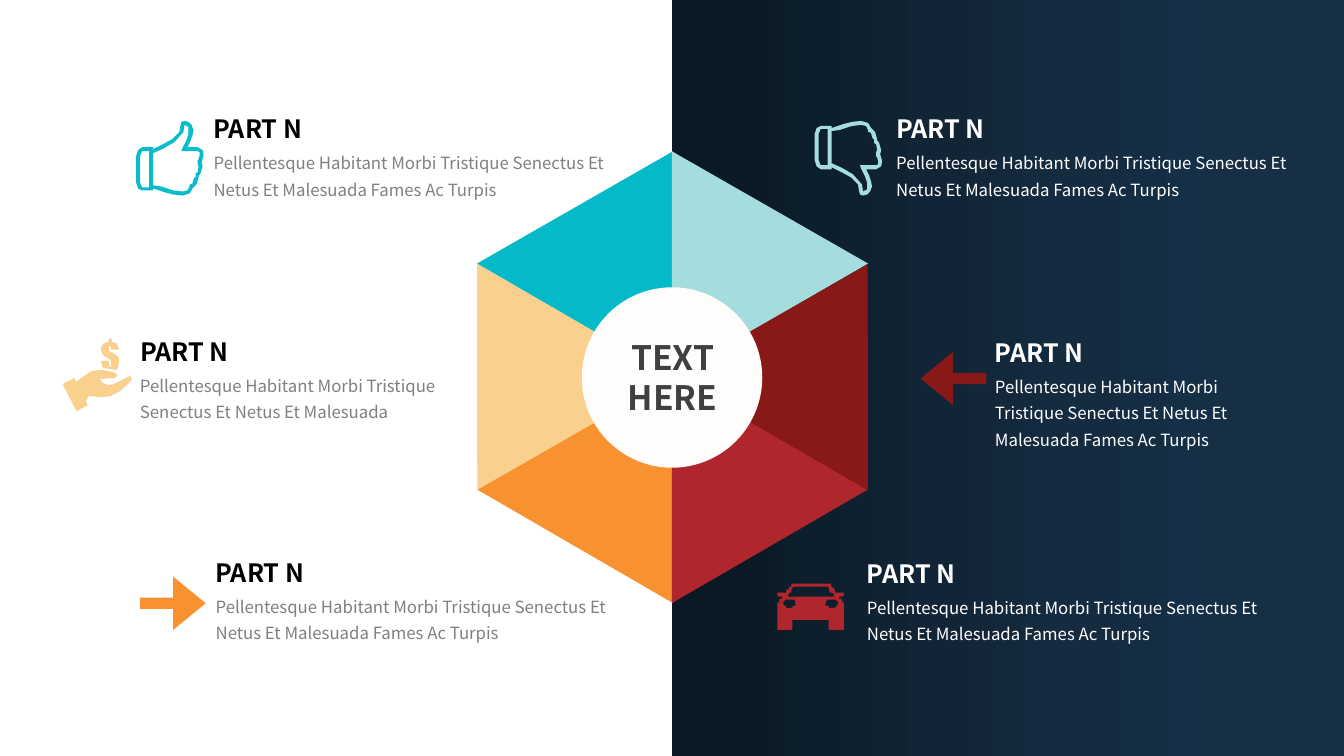
from lxml import etree
from pptx import Presentation
from pptx.dml.color import RGBColor
from pptx.enum.shapes import MSO_SHAPE as Shape
from pptx.enum.text import PP_ALIGN as Align
from pptx.oxml.ns import qn
from pptx.util import Inches, Pt

FONT = "Noto Sans CJK SC"
TEAL, AQUA, SAND = "04BAC8", "A5DDDE", "F9D08E"
ORANGE, RED, MAROON = "F89130", "AF272D", "891917"
SHORT_BODY = "Pellentesque Habitant Morbi Tristique Senectus Et Netus Et Malesuada"
BODY = SHORT_BODY + " Fames Ac Turpis"

CENTER_X, CENTER_Y = 6.67, 3.74
WEDGE_W, WEDGE_H = 2.25, 1.94
# Horizontal and vertical offset from the hexagon's centre, rotation, colour
WEDGES = [
    (-0.48, 0.84, 30.1, ORANGE),
    (-0.48, -1.4, 30.1, TEAL),
    (0.48, 0.84, 329.9, RED),
    (0.48, -1.4, 329.9, AQUA),
    (-1.45, 0.28, 210.1, SAND),
    (1.45, -0.28, 30.1, MAROON),
]
# Left, top, body width, body height, body text, title colour, body colour
PARTS = [
    (2.02, 1.08, 4.12, 0.63, BODY, "000000", "808080"),
    (1.29, 3.29, 3.23, 0.63, SHORT_BODY, "000000", "808080"),
    (2.04, 5.48, 4.12, 0.63, BODY, "000000", "808080"),
    (8.79, 1.08, 4.12, 0.6, BODY, "FFFFFF", "FFFFFF"),
    (9.77, 3.3, 2.84, 0.89, BODY, "FFFFFF", "FFFFFF"),
    (8.5, 5.49, 4.12, 0.6, BODY, "FFFFFF", "FFFFFF"),
]
PANEL_STOPS = [(0, "162F45"), (20, "152F46"), (40, "152B40"),
               (60, "122536"), (80, "0D1F2D"), (88, "0B1924")]

# Icon outlines, in hundredths of an inch from the icon's top left corner
THUMB_HEIGHT = 74
THUMB = [
    [(46, 74), (37, 73), (29, 71), (23, 69), (17, 67), (17, 69), (6, 69),
     (2, 67), (0, 61), (0, 35), (2, 29), (6, 26), (17, 26), (17, 28),
     (27, 23), (36, 18), (43, 11), (44, 5), (45, 1), (48, 0), (52, 1),
     (55, 4), (57, 9), (56, 14), (54, 20), (51, 26), (61, 26), (66, 29),
     (67, 34), (65, 41), (66, 45), (64, 52), (62, 55), (62, 56), (60, 63),
     (56, 67), (53, 72)],
    [(17, 64), (25, 65), (31, 67), (37, 69), (46, 70), (51, 69), (53, 65),
     (53, 63), (54, 63), (56, 62), (57, 58), (58, 56), (59, 56), (59, 52),
     (61, 51), (62, 45), (61, 43), (61, 39), (62, 38), (63, 34), (63, 31),
     (61, 30), (45, 30), (46, 27), (50, 19), (52, 13), (52, 6), (48, 4),
     (47, 11), (38, 21), (28, 27), (17, 32)],
    [(6, 30), (4, 35), (4, 61), (6, 66), (13, 66), (13, 30)],
]
THUMB_DOWN = [[(x, THUMB_HEIGHT - y) for x, y in ring] for ring in THUMB]
HAND_WITH_DOLLAR = [
    [(56, 11), (48, 11), (48, 8), (47, 7), (46, 8), (46, 12), (50, 14),
     (54, 17), (56, 19), (56, 23), (55, 29), (53, 31), (40, 29), (38, 23),
     (38, 22), (46, 22), (46, 27), (47, 28), (48, 27), (48, 22), (46, 20),
     (41, 17), (39, 14), (38, 10), (40, 5), (46, 3), (46, 0), (49, 0),
     (49, 3), (54, 5), (56, 10)],
    [(0, 45), (14, 72), (25, 66), (23, 62), (26, 57), (38, 58), (48, 57),
     (57, 52), (66, 44), (69, 40), (67, 37), (59, 41), (51, 45), (46, 46),
     (40, 44), (37, 40), (52, 39), (54, 37), (53, 34), (40, 31), (29, 32),
     (20, 38), (13, 43), (12, 39)],
]
CAR = [
    [(64, 13), (66, 12), (66, 9), (57, 9), (57, 6), (56, 6), (56, 4),
     (54, 4), (53, 0), (14, 0), (14, 3), (12, 3), (11, 6), (9, 6), (9, 9),
     (0, 9), (0, 12), (2, 13), (5, 13), (5, 15), (3, 15), (2, 16), (2, 19),
     (0, 19), (0, 46), (15, 46), (15, 36), (51, 36), (51, 46), (66, 46),
     (66, 19), (65, 19), (64, 16), (63, 15), (61, 15), (61, 13)],
    [(11, 10), (12, 9), (14, 9), (14, 6), (15, 4), (17, 3), (50, 3),
     (51, 4), (52, 9), (54, 9), (56, 10), (56, 13), (11, 13)],
    [(18, 22), (15, 22), (15, 24), (9, 24), (8, 22), (6, 21), (6, 18),
     (8, 16), (17, 16), (18, 18)],
    [(60, 21), (59, 22), (57, 24), (51, 24), (51, 22), (48, 22), (48, 18),
     (50, 16), (58, 16), (60, 18)],
]


def rgb(color):
    return RGBColor.from_string(color)


def paint(sp, color):
    """Give a shape a flat fill with no line and no shadow."""
    sp.shadow.inherit = False
    sp.fill.solid()
    sp.fill.fore_color.rgb = rgb(color)
    sp.line.fill.background()


def add_preset(s, kind, left, top, width, height, color):
    sp = s.shapes.add_shape(kind, Inches(left), Inches(top),
                            Inches(width), Inches(height))
    paint(sp, color)
    return sp


def add_panel(s):
    """Add the dark right half with its gradient of several stops."""
    sp = add_preset(s, Shape.RECTANGLE, 6.67, 0, 6.67, 7.5, "162F45")
    sp.fill.gradient()
    sp.fill.gradient_angle = 180
    stops = sp._element.spPr.find(".//" + qn("a:gsLst"))
    for stop in list(stops):
        stops.remove(stop)
    for percent, color in PANEL_STOPS:
        stop = etree.SubElement(stops, qn("a:gs"), pos=str(percent * 1000))
        etree.SubElement(stop, qn("a:srgbClr"), val=color)


def add_wedge(s, dx, dy, rotation, color):
    sp = add_preset(s, Shape.ISOSCELES_TRIANGLE,
                    CENTER_X + dx - WEDGE_W / 2, CENTER_Y + dy - WEDGE_H / 2,
                    WEDGE_W, WEDGE_H, color)
    sp.rotation = rotation


def add_icon(s, rings, left, top, color):
    (x, y), *rest = rings[0]
    builder = s.shapes.build_freeform(x, y, scale=Inches(0.01))
    builder.add_line_segments(rest, close=True)
    for start, *rest in rings[1:]:
        builder.move_to(*start)
        builder.add_line_segments(rest, close=True)
    paint(builder.convert_to_shape(Inches(left), Inches(top)), color)


def add_arrow(s, kind, left, top, color):
    sp = add_preset(s, kind, left, top, 0.65, 0.53, color)
    sp.adjustments[0] = 0.21
    sp.adjustments[1] = 0.61


def add_text(s, left, top, width, height, lines, size, color,
             bold=False, align=Align.LEFT, spacing=None):
    box = s.shapes.add_textbox(Inches(left), Inches(top),
                               Inches(width), Inches(height))
    tf = box.text_frame
    tf.word_wrap = True
    for i, line in enumerate(lines):
        p = tf.add_paragraph() if i else tf.paragraphs[0]
        p.alignment = align
        p.line_spacing = spacing
        r = p.add_run()
        r.text = line
        r.font.name = FONT
        r.font.size = Pt(size)
        r.font.bold = bold
        r.font.color.rgb = rgb(color)


def add_part(s, left, top, width, height, body, title_color, body_color):
    add_text(s, left, top, 1.61, 0.4, ["PART N"], 18, title_color, bold=True)
    add_text(s, left, top + 0.33, width, height, [body], 12, body_color,
             spacing=1.3)


def main():
    prs = Presentation()
    prs.slide_width, prs.slide_height = Inches(13.33), Inches(7.5)
    s = prs.slides.add_slide(prs.slide_layouts[6])

    add_panel(s)
    for wedge in WEDGES:
        add_wedge(s, *wedge)
    add_preset(s, Shape.OVAL, 5.77, 2.85, 1.79, 1.79, "FFFDFB")
    add_text(s, 5.93, 3.29, 1.48, 0.91, ["TEXT", "HERE"], 24, "404040",
             bold=True, align=Align.CENTER)

    add_icon(s, THUMB, 1.35, 1.2, "08BCCB")
    add_icon(s, HAND_WITH_DOLLAR, 0.62, 3.36, SAND)
    add_icon(s, THUMB_DOWN, 8.08, 1.2, AQUA)
    add_arrow(s, Shape.RIGHT_ARROW, 1.39, 5.72, ORANGE)
    add_arrow(s, Shape.LEFT_ARROW, 9.13, 3.49, MAROON)
    add_icon(s, CAR, 7.71, 5.79, RED)

    for part in PARTS:
        add_part(s, *part)
    prs.save("out.pptx")


if __name__ == "__main__":
    main()
